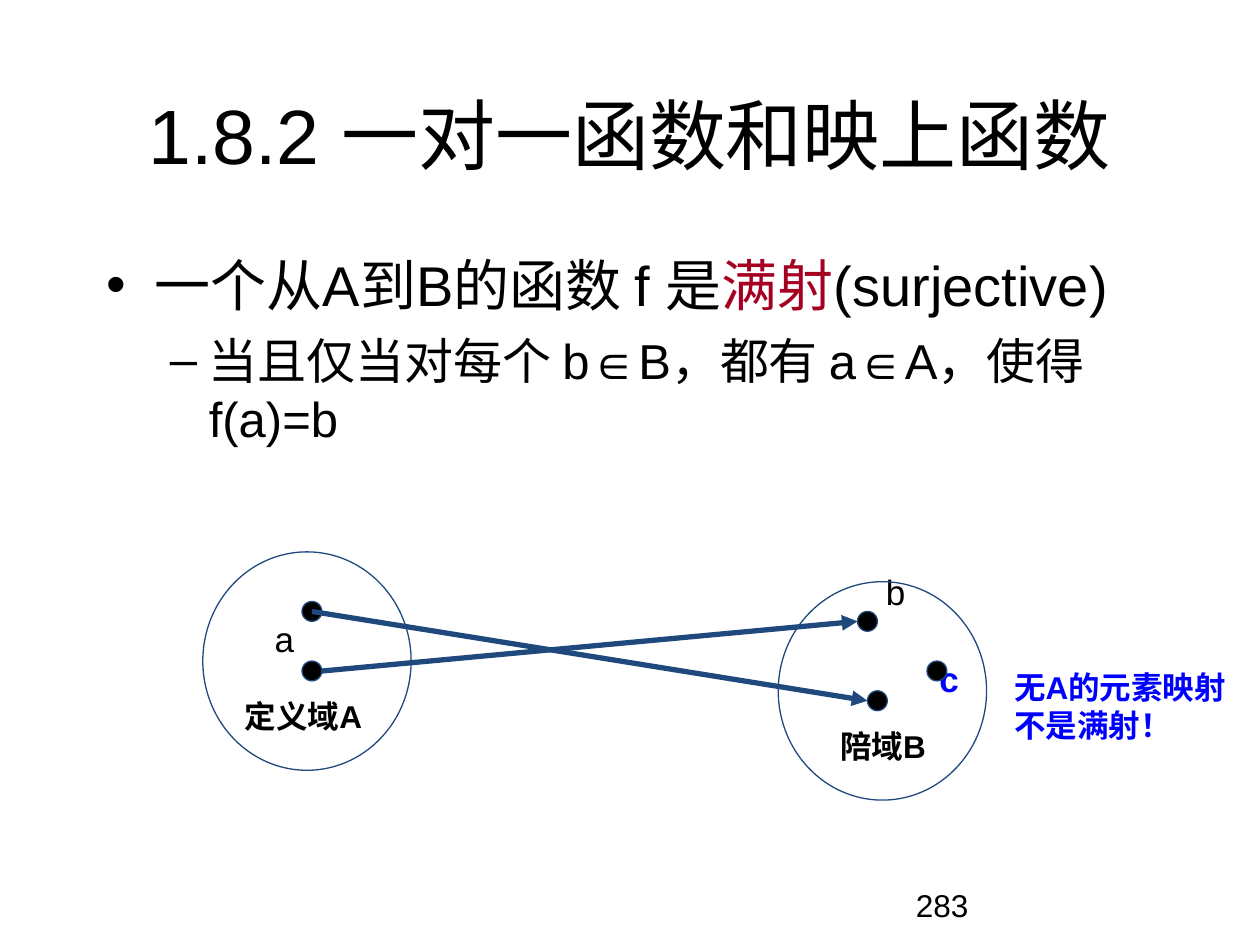
from lxml import etree
from pptx import Presentation
from pptx.dml.color import RGBColor
from pptx.enum.shapes import MSO_CONNECTOR, MSO_SHAPE
from pptx.enum.text import MSO_ANCHOR, PP_ALIGN
from pptx.oxml.ns import qn
from pptx.util import Inches, Pt

OVAL = MSO_SHAPE.OVAL
STRAIGHT = MSO_CONNECTOR.STRAIGHT
BLACK, BLUE, NAVY, RED = "000000", "0000FF", "1F497D", "A50021"
FONT = "Arial"
COLS, ROWS = 79, 25  # grid of the mapping diagram


def rgb(value):
    return RGBColor.from_string(value)


def format_runs(p, size, color=BLACK, bold=False):
    for r in p.runs:
        r.font.name = FONT
        r.font.size = Pt(size)
        r.font.bold = bold
        r.font.color.rgb = rgb(color)


def hang(p, indent, first=None, bullet=None):
    """Set a hanging indent in inches, with an optional bullet."""
    pPr = p._p.get_or_add_pPr()
    pPr.set("marL", str(Inches(indent)))
    pPr.set("indent", str(-Inches(first or indent)))
    if bullet:
        etree.SubElement(pPr, qn("a:buFont")).set("typeface", FONT)
        etree.SubElement(pPr, qn("a:buChar")).set("char", bullet)


def add_text(slide, box, lines, size, color=BLACK, bold=False, indent=0):
    tf = slide.shapes.add_textbox(*map(Inches, box)).text_frame
    tf.word_wrap = True
    tf.text = "\n".join(lines)
    for p in tf.paragraphs:
        if indent:
            hang(p, indent)
        format_runs(p, size, color, bold)
    return tf


def add_title(slide, box, text):
    title = slide.shapes.title
    title.left, title.top, title.width, title.height = map(Inches, box)
    tf = title.text_frame
    tf.text = text
    tf.vertical_anchor = MSO_ANCHOR.MIDDLE
    p = tf.paragraphs[0]
    p.alignment = PP_ALIGN.CENTER
    format_runs(p, 44)


def add_definition(slide, box):
    tf = slide.shapes.add_textbox(*map(Inches, box)).text_frame
    tf.word_wrap = True
    p = tf.paragraphs[0]
    hang(p, 0.38, bullet="•")
    for text in ("一个从A到B的函数 f 是", "满射", "(surjective)"):
        p.add_run().text = text
    format_runs(p, 32)
    p.runs[1].font.color.rgb = rgb(RED)

    p = tf.add_paragraph()
    p.text = "当且仅当对每个 b∈B，都有 a∈A，使得 f(a)=b"
    p.level = 1
    hang(p, 0.81, 0.31, "–")
    p.space_before = Pt(7)
    format_runs(p, 28)


def add_oval(slide, box, fill=None):
    sp = slide.shapes.add_shape(OVAL, *map(Inches, box))
    sp.shadow.inherit = False
    if fill:
        sp.fill.solid()
        sp.fill.fore_color.rgb = rgb(fill)
    else:
        sp.fill.background()
    sp.line.color.rgb = rgb(NAVY)
    sp.line.width = Pt(0.75)


def add_arrow(slide, start, end):
    line = slide.shapes.add_connector(STRAIGHT, *map(Inches, start + end))
    line.line.color.rgb = rgb(NAVY)
    line.line.width = Pt(3)
    etree.SubElement(line.line._get_or_add_ln(), qn("a:tailEnd")).set("type", "triangle")
    etree.SubElement(line._element.spPr, qn("a:effectLst"))


def add_mapping(slide, box):
    """Two sets, their elements and the arrows between them."""
    left, top, width, height = box
    cw, rh = width / COLS, height / ROWS

    def at(col, row):
        return left + col * cw, top + row * rh

    def cell(col, row, cols, rows):
        return at(col, row) + (cols * cw, rows * rh)

    for text, col, row, cols, color in (("b", 67.6, 1.3, 5, BLACK),
                                        ("c", 73, 10, 4, BLUE),
                                        ("a", 6, 6, 5, BLACK)):
        add_text(slide, cell(col, row, cols, 7), [text], 20, color, color == BLUE)
    for col, row in ((0, 0), (58, 3)):
        add_oval(slide, cell(col, row, 21, 22))
    for col, row in ((10, 5), (10, 11), (66, 6), (67, 14), (73, 11)):
        add_oval(slide, cell(col, row, 2, 2), BLACK)
    add_arrow(slide, at(11, 6), at(67, 15))
    add_arrow(slide, at(12, 12), at(66, 7))
    for text, col, row, cols in (("陪域B", 63, 17, 12), ("定义域A", 3, 14, 15)):
        add_text(slide, cell(col, row, cols, 6), [text], 18, bold=True, indent=0.38)


def main():
    prs = Presentation()
    prs.slide_width, prs.slide_height = Inches(10), Inches(7.5)
    slide = prs.slides.add_slide(prs.slide_layouts[5])
    add_title(slide, (0.75, 0.44, 8.5, 1.25), "1.8.2 一对一函数和映上函数")
    add_definition(slide, (0.75, 1.94, 8.5, 4.88))
    add_text(slide, (7.95, 5.25, 1.93, 1.18), ["无A的元素映射", "不是满射！"],
             18, BLUE, True, 0.67)
    add_mapping(slide, (1.61, 4.38, 6.22, 1.97))
    add_text(slide, (7.17, 6.98, 2.08, 0.27), ["283"], 18)
    prs.save("out.pptx")


if __name__ == "__main__":
    main()
